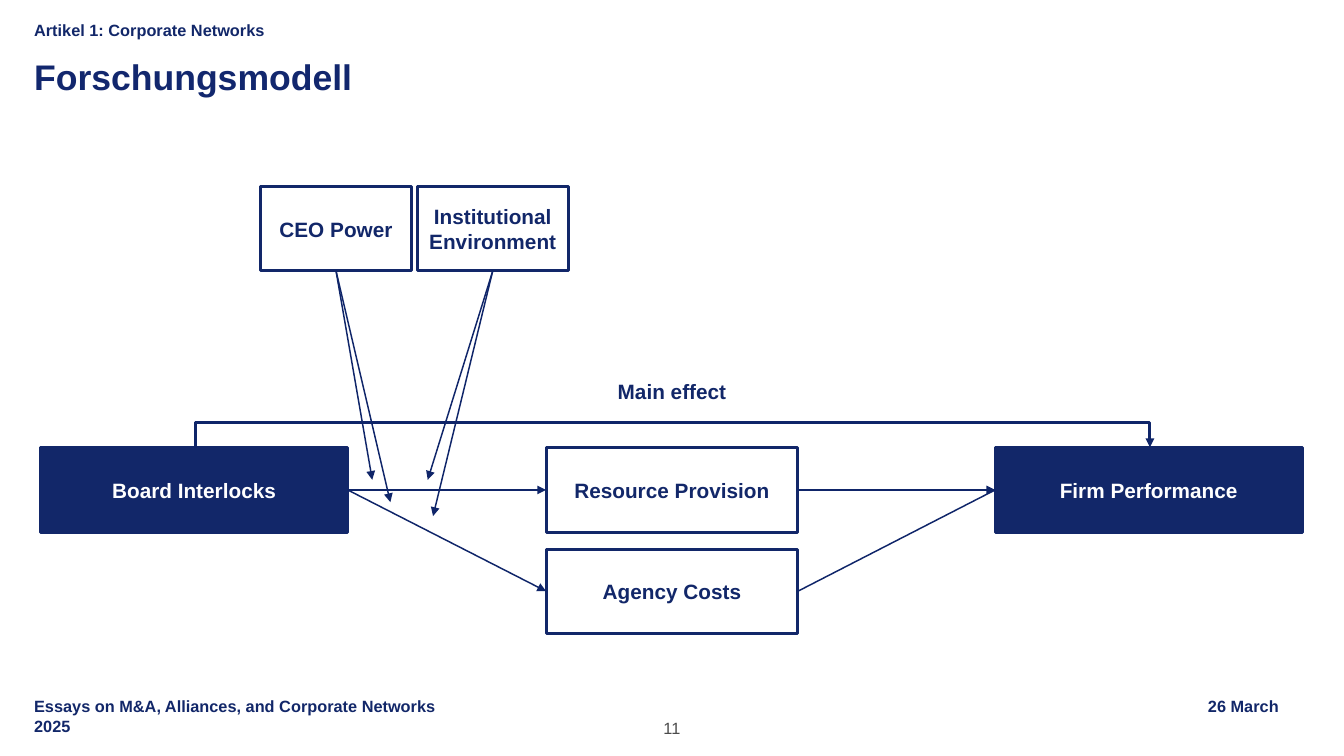
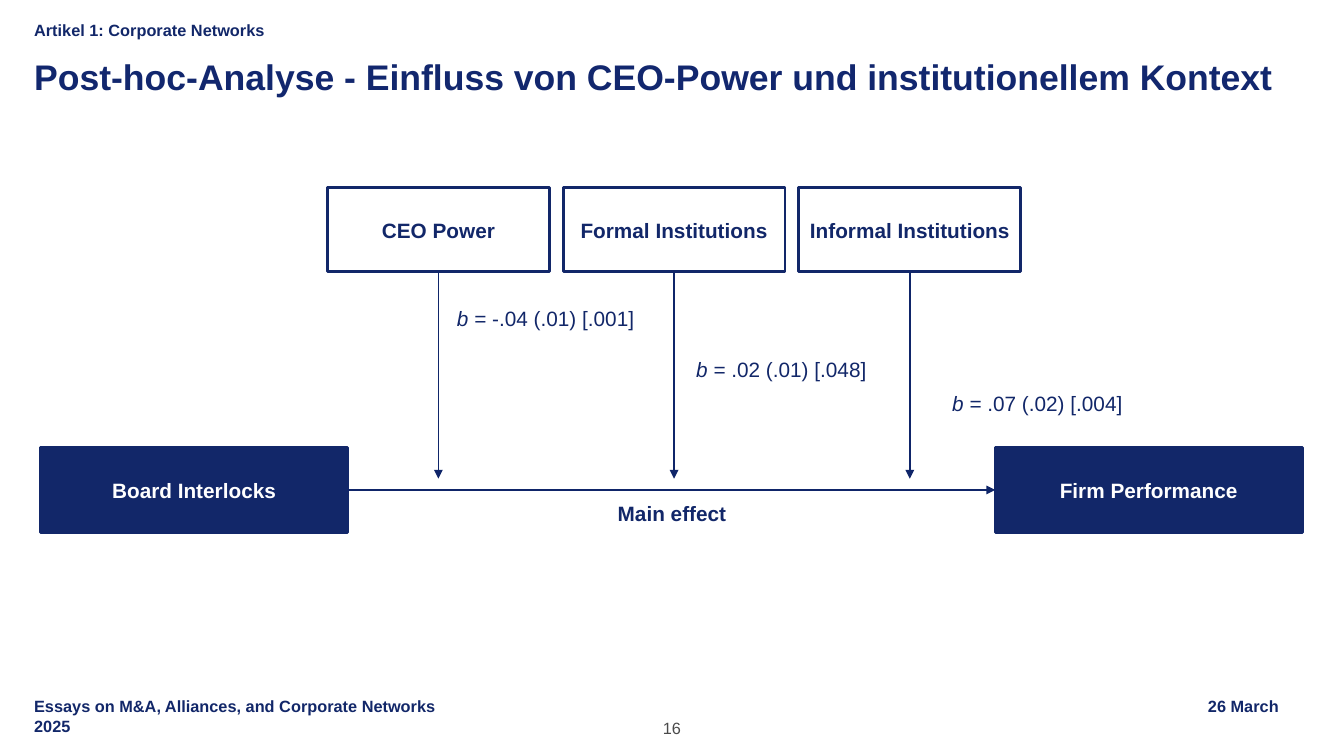
from lxml import etree
from pptx import Presentation
from pptx.dml.color import RGBColor
from pptx.enum.shapes import MSO_CONNECTOR as LINK, MSO_SHAPE as SHAPE
from pptx.enum.text import MSO_ANCHOR as ANCHOR, PP_ALIGN as ALIGN
from pptx.oxml.ns import qn
from pptx.util import Inches, Pt

COLORS = {"navy": "122769", "title": "12276E", "arrow": "0F2569",
          "page": "4B4B4B", "white": "FFFFFF"}
FONT = "Arial"
TOP, LEFT, BOTTOM, RIGHT = range(4)
MARGIN, BAND_WIDTH, BAND_HEIGHT = 0.32, 11.97, 0.37
BOX_HEIGHT, MAIN_TOP, MAIN_WIDTH = 0.79, 4.2, 2.88


def rgb(name):
    return RGBColor.from_string(COLORS[name])


def write(frame, text, rest="", size=14, color="navy", bold=False, italic=False,
          align=ALIGN.LEFT, anchor=ANCHOR.MIDDLE, inset=0, spacing=None, tab=None):
    frame.word_wrap = True
    frame.vertical_anchor = anchor
    frame.margin_left = frame.margin_right = Inches(inset)
    frame.margin_top = frame.margin_bottom = 0
    frame.text = text
    for paragraph in frame.paragraphs:
        if tab:
            stops = etree.SubElement(paragraph._p.get_or_add_pPr(), qn("a:tabLst"))
            etree.SubElement(stops, qn("a:tab"), pos=str(Inches(tab)), algn="r")
        paragraph.alignment = align
        paragraph.line_spacing = spacing
        for run in paragraph.runs:
            run.font.italic = italic
    if rest:
        frame.paragraphs[-1].add_run().text = rest
    for paragraph in frame.paragraphs:
        for run in paragraph.runs:
            run.font.name = FONT
            run.font.size = Pt(size)
            run.font.bold = bold
            run.font.color.rgb = rgb(color)


def add_label(slide, at, text, **format):
    label = slide.shapes.add_textbox(*map(Inches, at))
    write(label.text_frame, text, **format)


def add_box(slide, at, text, filled=False):
    box = slide.shapes.add_shape(SHAPE.RECTANGLE, *map(Inches, at))
    box.shadow.inherit = False
    box.fill.solid()
    box.fill.fore_color.rgb = rgb("navy" if filled else "white")
    box.line.color.rgb = rgb("navy")
    box.line.width = Pt(2)
    write(box.text_frame, text, bold=True, align=ALIGN.CENTER, inset=0.05,
          color="white" if filled else "navy")
    return box


def add_arrow(slide, begin, end, width=1, kind=LINK.STRAIGHT, head=True):
    arrow = slide.shapes.add_connector(kind, *map(Inches, begin + end))
    arrow.line.color.rgb = rgb("arrow")
    arrow.line.width = Pt(width)
    if head:
        etree.SubElement(arrow.line._get_or_add_ln(), qn("a:tailEnd"), type="triangle")
    etree.SubElement(arrow._element.spPr, qn("a:effectLst"))
    return arrow


def join(slide, source, target, **format):
    arrow = add_arrow(slide, (0, 0), (1, 1), **format)
    arrow.begin_connect(source, RIGHT)
    arrow.end_connect(target, LEFT)


def add_moderator(slide, at, text, targets):
    box = add_box(slide, at, text)
    left, top, width, height = at
    for target in targets:
        arrow = add_arrow(slide, (left + width / 2, top + height), target)
        arrow.begin_connect(box, BOTTOM)


def add_bypass(slide, start, end, base, rise):
    depth = 0.01
    middle, half = (start + end) / 2, (end - start) / 2
    arrow = add_arrow(slide, (middle + depth / 2, base + half),
                      (middle - depth / 2, base - half), width=2, kind=LINK.ELBOW)
    arrow._element.spPr.find(qn("a:xfrm")).set("rot", str(90 * 60000))
    guides = arrow._element.spPr.find(qn("a:prstGeom")).find(qn("a:avLst"))
    etree.SubElement(guides, qn("a:gd"), name="adj1",
                     fmla=f"val {round(rise / depth * 100000)}")


def add_main_boxes(slide):
    return [add_box(slide, (left, MAIN_TOP, MAIN_WIDTH, BOX_HEIGHT), text, filled=True)
            for left, text in ((0.38, "Board Interlocks"), (9.33, "Firm Performance"))]


def add_main_effect(slide, top):
    add_label(slide, (5.14, top, 2.32, 0.34), "Main effect", bold=True, align=ALIGN.CENTER)


def new_slide(deck, title, page):
    slide = deck.slides.add_slide(deck.slide_layouts[5])
    heading = slide.shapes.title
    heading.left, heading.top = Inches(MARGIN), Inches(0.56)
    heading.width, heading.height = Inches(BAND_WIDTH), Inches(0.73)
    write(heading.text_frame, title, size=24, color="title", bold=True,
          anchor=ANCHOR.TOP, spacing=0.9)
    band = dict(size=11, bold=True, anchor=ANCHOR.BOTTOM, spacing=1.04)
    add_label(slide, (MARGIN, 0, BAND_WIDTH, BAND_HEIGHT),
              "Artikel 1: Corporate Networks", **band)
    add_label(slide, (MARGIN, 6.53, BAND_WIDTH, BAND_HEIGHT),
              "Essays on M&A, Alliances, and Corporate Networks\t26 March\n2025",
              tab=11.67, **band)
    add_label(slide, (5.85, 6.73, 0.9, 0.19), page, size=11, color="page",
              align=ALIGN.CENTER, anchor=ANCHOR.BOTTOM)
    return slide


def build_model(deck):
    slide = new_slide(deck, "Forschungsmodell", "11")
    interlocks, performance = add_main_boxes(slide)
    add_bypass(slide, 1.83, 10.78, MAIN_TOP, 0.25)
    add_main_effect(slide, 3.5)
    moderators = (("CEO Power", ((3.66, 4.71), (3.49, 4.5))),
                  ("Institutional Environment", ((4.06, 4.84), (4.01, 4.5))))
    for column, (text, targets) in enumerate(moderators):
        add_moderator(slide, (2.44 + 1.47 * column, 1.75, 1.42, BOX_HEIGHT), text, targets)
    mediators = (("Resource Provision", True), ("Agency Costs", False))
    for row, (text, head) in enumerate(mediators):
        mediator = add_box(slide, (5.12, MAIN_TOP + 0.95 * row, 2.36, BOX_HEIGHT), text)
        join(slide, interlocks, mediator)
        join(slide, mediator, performance, head=head)


def build_analysis(deck):
    slide = new_slide(
        deck, "Post-hoc-Analyse - Einfluss von CEO-Power und institutionellem Kontext", "16")
    moderators = (("CEO Power", "-.04 (.01) [.001]", 4.04, 2.85),
                  ("Formal Institutions", ".02 (.01) [.048]", 6.25, 3.33),
                  ("Informal Institutions", ".07 (.02) [.004]", 8.65, 3.65))
    width = 2.08
    for column, (text, estimate, estimate_left, estimate_top) in enumerate(moderators):
        left = 3.07 + 2.21 * column
        add_moderator(slide, (left, 1.76, width, BOX_HEIGHT), text,
                      [(left + width / 2, 4.49)])
        add_label(slide, (estimate_left, estimate_top, 2.15, 0.26), "b = ",
                  rest=estimate, italic=True, align=ALIGN.CENTER)
    join(slide, *add_main_boxes(slide), width=1.5)
    add_main_effect(slide, 4.64)


def main():
    deck = Presentation()
    deck.slide_width, deck.slide_height = Inches(12.6), Inches(7.09)
    build_model(deck)
    build_analysis(deck)
    deck.save("out.pptx")


if __name__ == "__main__":
    main()
